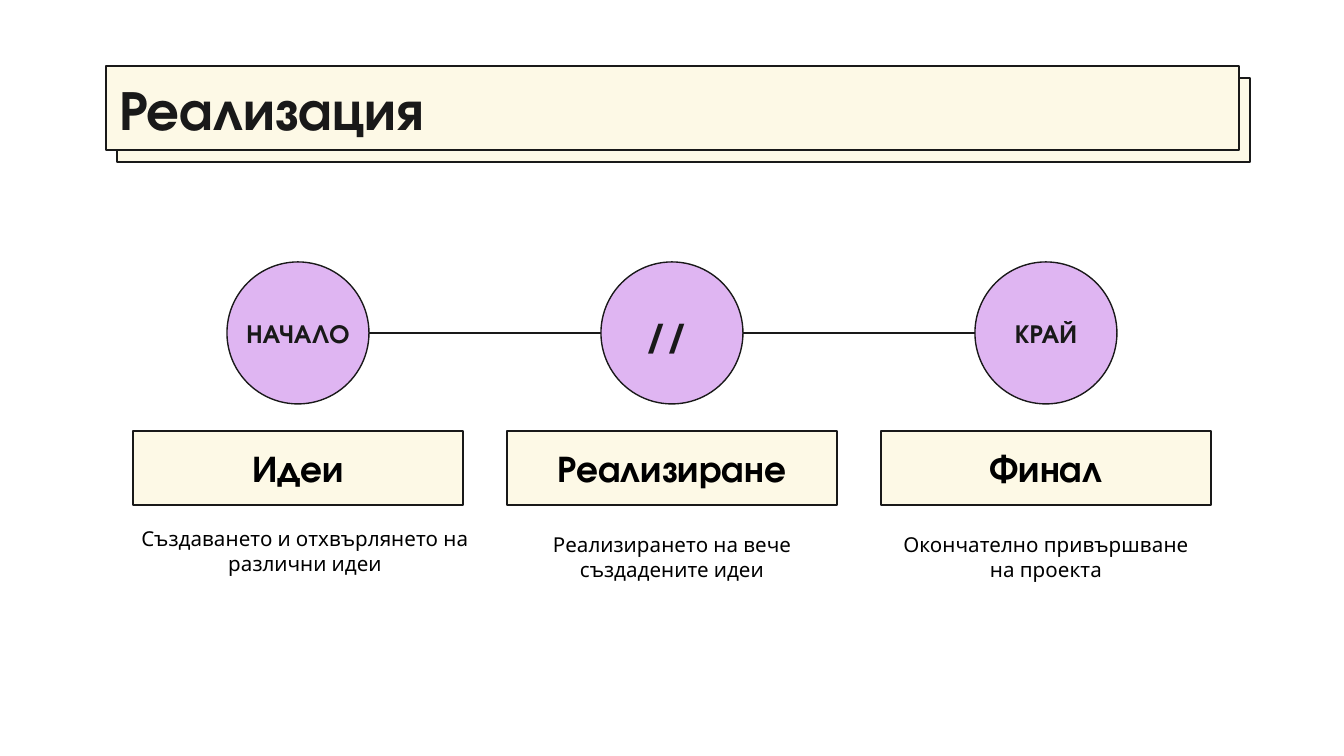
import pptx
import pptx.dml.color
import pptx.enum.shapes
import pptx.enum.text
import pptx.oxml.ns
import pptx.util
from lxml import etree

SCALE = 914400 / 134.4
DISPLAY, BODY = "TeX Gyre Adventor", "League Spartan"
INK, BLACK, CREAM, LILAC = "191919", "000000", "FDF9E6", "DFB5F2"
SHAPE = pptx.enum.shapes.MSO_SHAPE
ALIGN = pptx.enum.text.PP_ALIGN
ANCHOR = pptx.enum.text.MSO_ANCHOR

CENTRE, PITCH = 672, 374
CIRCLE_TOP, CIRCLE_SIZE = 262, 142
CARD_WIDTH = 330
STAGES = [
    ("НАЧАЛО", 14, "Идеи", "Създаването и отхвърлянето на различни идеи", (117, 513, 376, 91)),
    ("// ", 20, "Реализиране", "Реализирането на вече създадените идеи", (507, 519, 330, 91)),
    ("КРАЙ", 14, "Финал", "Окончателно привършване на проекта", (881, 519, 330, 91)),
]


def px(length):
    """Turn px into EMU."""
    return pptx.util.Emu(round(length * SCALE))


def colour(value):
    """Turn a hex string into a colour."""
    return pptx.dml.color.RGBColor.from_string(value)


def outline(line):
    """Give a line the thin ink stroke."""
    line.color.rgb = colour(INK)
    line.width = pptx.util.Pt(0.75)


def write(holder, text, size, font=DISPLAY, ink=INK, bold=True,
          align=ALIGN.CENTER, anchor=ANCHOR.MIDDLE):
    """Put one formatted paragraph into a shape or text box."""
    frame = holder.text_frame
    frame.word_wrap = True
    frame.vertical_anchor = anchor
    frame.margin_left = frame.margin_right = pptx.util.Inches(0.1)
    frame.margin_top = frame.margin_bottom = pptx.util.Inches(0.1)
    frame.text = text
    paragraph = frame.paragraphs[0]
    paragraph.alignment = align
    style = paragraph.runs[0].font
    style.name, style.size, style.bold = font, pptx.util.Pt(size), bold
    style.color.rgb = colour(ink)


def add_panel(slide, kind, box, fill):
    """Add a filled and outlined preset shape."""
    panel = slide.shapes.add_shape(kind, *map(px, box))
    panel.shadow.inherit = False
    panel.fill.solid()
    panel.fill.fore_color.rgb = colour(fill)
    outline(panel.line)
    return panel


def add_text(slide, box, *args, **style):
    """Add a text box."""
    write(slide.shapes.add_textbox(*map(px, box)), *args, **style)


def add_link(slide, left, right, y):
    """Add a horizontal line between two circles."""
    link = slide.shapes.add_connector(
        pptx.enum.shapes.MSO_CONNECTOR.STRAIGHT, px(left), px(y), px(right), px(y))
    outline(link.line)
    etree.SubElement(link._element.spPr, pptx.oxml.ns.qn("a:effectLst"))


def add_title(slide, text):
    """Add the title bar with its offset backing."""
    add_panel(slide, SHAPE.RECTANGLE, (117, 78, 1133, 84), CREAM)
    bar = add_panel(slide, SHAPE.RECTANGLE, (106, 66, 1133, 84), CREAM)
    write(bar, text, 30, align=ALIGN.LEFT)


def add_stage(slide, centre, label, label_size, heading, description, description_box):
    """Add one stage: circle, heading card and description."""
    left = centre - CIRCLE_SIZE // 2
    add_panel(slide, SHAPE.OVAL, (left, CIRCLE_TOP, CIRCLE_SIZE, CIRCLE_SIZE), LILAC)
    add_text(slide, (left, 297, CIRCLE_SIZE, 73), label, label_size)
    card = add_panel(slide, SHAPE.RECTANGLE,
                     (centre - CARD_WIDTH // 2, 431, CARD_WIDTH, 74), CREAM)
    write(card, heading, 20, ink=BLACK)
    add_text(slide, description_box, description, 11, font=BODY, ink=BLACK,
             bold=False, anchor=ANCHOR.TOP)


def main():
    """Build and save the slide."""
    presentation = pptx.Presentation()
    presentation.slide_width, presentation.slide_height = px(1344), px(756)
    slide = presentation.slides.add_slide(presentation.slide_layouts[6])
    add_title(slide, "Реализация")
    centres = [CENTRE + PITCH * step for step in (-1, 0, 1)]
    for centre, stage in zip(centres, STAGES):
        add_stage(slide, centre, *stage)
    radius = CIRCLE_SIZE // 2
    for start, end in zip(centres, centres[1:]):
        add_link(slide, start + radius, end - radius, CIRCLE_TOP + radius)
    presentation.save("out.pptx")


if __name__ == "__main__":
    main()
